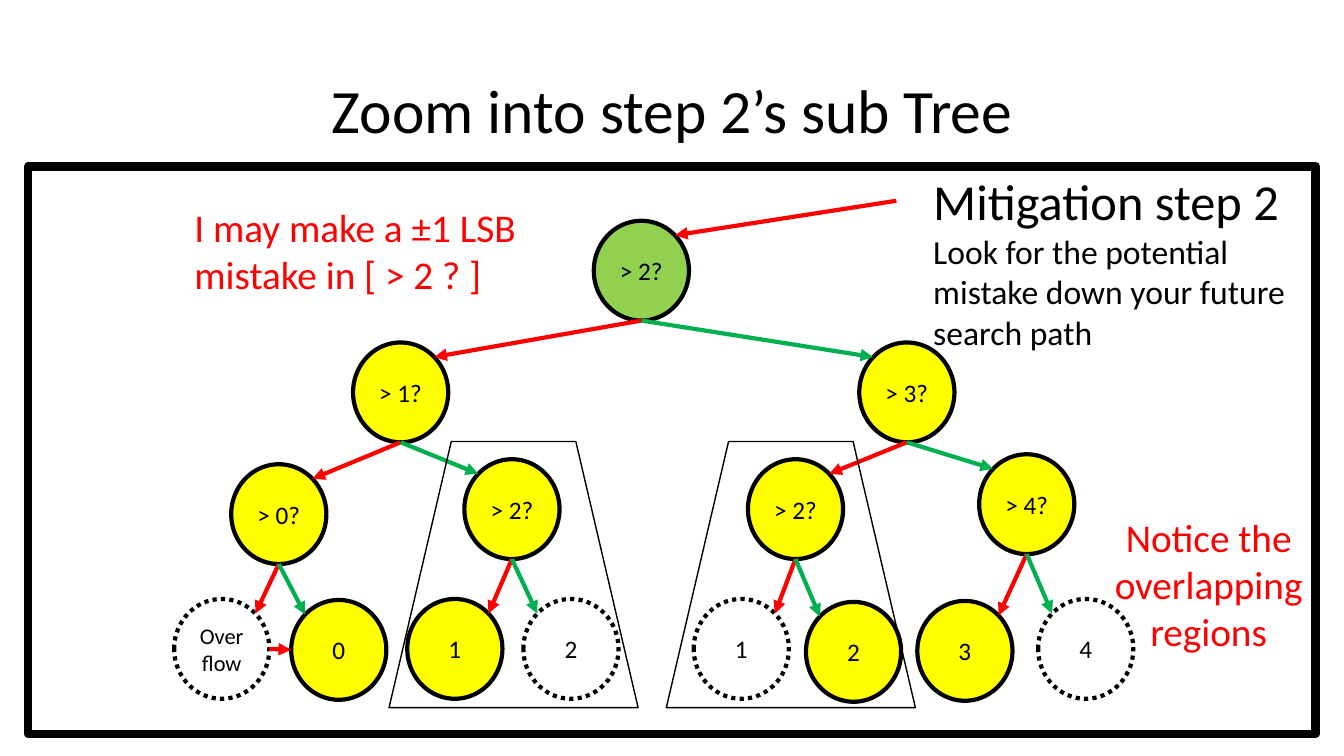
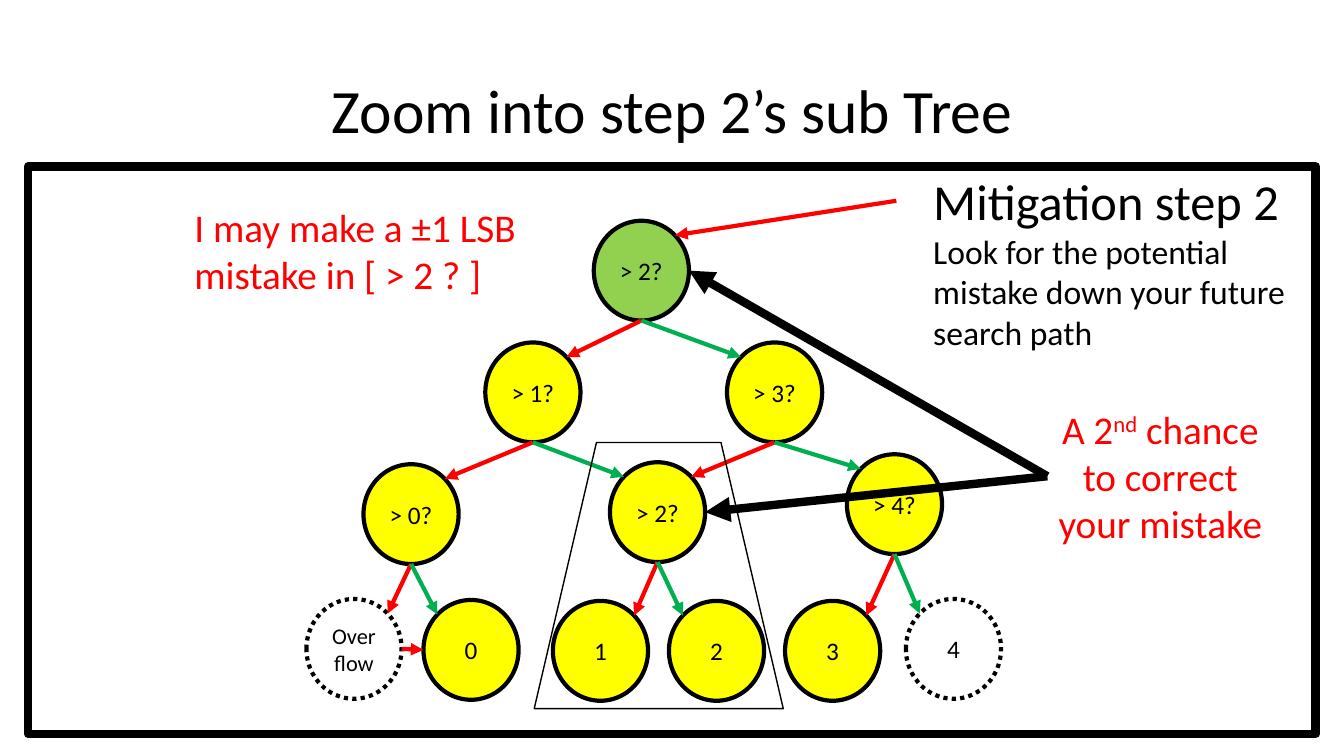
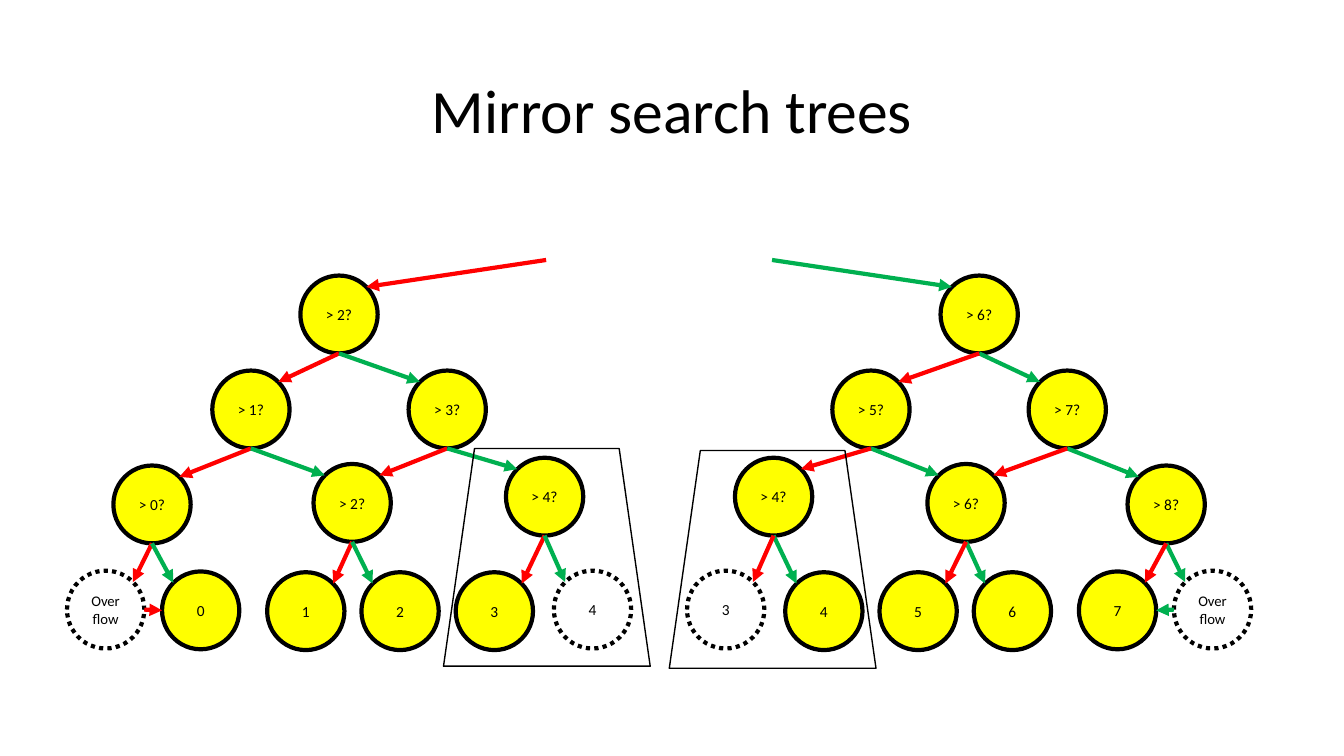
from lxml import etree
from pptx import Presentation
from pptx import util as u
from pptx.dml.color import RGBColor
from pptx.enum import dml, shapes, text
from pptx.oxml import ns

FONT = "Calibri"
COLORS = {"ink": "000000", "no": "FF0000", "yes": "00B050",
          "node": "FFFF00", "start": "92D050"}
WIDTH, HEIGHT = u.Inches(13.33), u.Inches(7.5)
CENTER, LEFT = text.PP_ALIGN.CENTER, text.PP_ALIGN.LEFT
CORNER = 0.354  # share of a circle's diameter from centre to its diagonal point

# Offsets from the root, in node widths and heights; then kind and number.
TREE = {
    "root": (0, 0, "ask", 2),
    "low": (-1.14, 1.22, "ask", 1),
    "high": (1.4, 1.22, "ask", 3),
    "ask0": (-2.42, 2.44, "ask", 0),
    "ask2": (0.17, 2.42, "ask", 2),
    "ask4": (2.66, 2.34, "ask", 4),
    "over": (-3.02, 3.79, "over", 0),
    "leaf0": (-1.79, 3.8, "leaf", 0),
    "leaf1": (-0.43, 3.81, "leaf", 1),
    "leaf2": (0.79, 3.81, "leaf", 2),
    "leaf3": (2.01, 3.81, "leaf", 3),
    "leaf4": (3.28, 3.79, "ghost", 4),
}
CHILDREN = {
    "root": ("low", "high"),
    "low": ("ask0", "ask2"),
    "high": ("ask2", "ask4"),
    "ask0": ("over", "leaf0"),
    "ask2": ("leaf1", "leaf2"),
    "ask4": ("leaf3", "leaf4"),
}


def split_tree(gap):
    """The tree with its halves moved apart and the shared branch doubled."""
    nodes = {}
    for name, (x, y, kind, number) in TREE.items():
        if name != "root":
            right = name in ("high", "ask4", "leaf2", "leaf3", "leaf4")
            x += gap if right else -gap
        nodes[name] = (x, y, kind, number)
    nodes.update({
        "ask2": (-1.36, 2.39, "ask", 2),
        "leaf1": (-1.96, 3.79, "leaf", 1),
        "ghost2": (-0.74, 3.79, "ghost", 2),
        "twin2": (1.62, 2.39, "ask", 2),
        "ghost1": (1.05, 3.79, "ghost", 1),
        "leaf2": (2.23, 3.82, "leaf", 2),
    })
    children = {**CHILDREN, "high": ("twin2", "ask4"),
                "ask2": ("leaf1", "ghost2"), "twin2": ("ghost1", "leaf2")}
    return nodes, children


def across(share):
    return round(WIDTH * share / 100)


def down(share):
    return round(HEIGHT * share / 100)


def place(box):
    """Turn a box given in percent of the slide into lengths."""
    x, y, w, h = box
    return across(x), down(y), across(w), down(h)


def rgb(name):
    return RGBColor.from_string(COLORS[name])


def write(frame, paragraphs, color="ink", align=LEFT):
    """Each paragraph is a list of (text, size, is_superscript) runs."""
    for index, runs in enumerate(paragraphs):
        para = frame.paragraphs[0] if index == 0 else frame.add_paragraph()
        para.alignment = align
        for words, size, raised in runs:
            run = para.add_run()
            run.text = words
            run.font.name, run.font.size = FONT, u.Pt(size)
            run.font.color.rgb = rgb(color)
            if raised:
                run.font._element.set("baseline", "30000")


def text_block(slide, box, paragraphs, color="ink", align=LEFT):
    frame = slide.shapes.add_textbox(*place(box)).text_frame
    frame.word_wrap = True
    write(frame, paragraphs, color, align)
    return frame


def outline(slide, preset, bounds, weight, fill=None):
    shape = slide.shapes.add_shape(preset, *bounds)
    shape.shadow.inherit = False
    if fill:
        shape.fill.solid()
        shape.fill.fore_color.rgb = rgb(fill)
    else:
        shape.fill.background()
    shape.line.color.rgb = rgb("ink")
    shape.line.width = u.Pt(weight)
    return shape


def arrow(slide, start, end, color, weight=3):
    line = slide.shapes.add_connector(shapes.MSO_CONNECTOR.STRAIGHT,
                                      *map(round, (*start, *end)))
    line.line.color.rgb = rgb(color)
    line.line.width = u.Pt(weight)
    etree.SubElement(line.line._get_or_add_ln(), ns.qn("a:tailEnd"), type="triangle")
    etree.SubElement(line._element.spPr, ns.qn("a:effectLst"))


def point(bounds, dx, dy):
    """A point of a box, in shares of its size from the centre."""
    x, y, w, h = bounds
    return x + w * (0.5 + dx), y + h * (0.5 + dy)


def node(slide, bounds, kind, number, size, over_size, fill):
    dotted = kind in ("over", "ghost")
    circle = outline(slide, shapes.MSO_SHAPE.OVAL, bounds, 3, None if dotted else fill)
    if dotted:
        circle.line.dash_style = dml.MSO_LINE.ROUND_DOT
    frame = circle.text_frame
    frame.word_wrap = False
    frame.margin_left = frame.margin_right = 0
    frame.vertical_anchor = text.MSO_ANCHOR.MIDDLE
    if kind == "over":
        label = [[("Over", over_size, False)], [("flow", over_size, False)]]
    else:
        label = [[(f"> {number}?" if kind == "ask" else str(number), size, False)]]
    write(frame, label, align=CENTER)


def search_tree(slide, root_box, nodes=TREE, children=CHILDREN, size=18,
                over_size=16, root_fill="node", mirrored=False):
    """Draw a tree from its root's box; return the box of every node."""
    left, top, w, h = place(root_box)
    side = -1 if mirrored else 1
    boxes = {}
    for name, (x, y, kind, number) in nodes.items():
        boxes[name] = (round(left + side * x * w), round(top + y * h), w, h)
        if mirrored:
            number = (8 if kind == "ask" else 7) - number
        node(slide, boxes[name], kind, number, size, over_size,
             root_fill if name == "root" else "node")

    near, far = ("yes", "no") if mirrored else ("no", "yes")
    for parent, pair in children.items():
        for child, color, turn in zip(pair, (near, far), (side, -side)):
            arrow(slide, point(boxes[parent], 0, 0.5),
                  point(boxes[child], turn * CORNER, -CORNER), color)
    arrow(slide, point(boxes["over"], side * 0.5, 0),
          point(boxes["leaf0"], -side * 0.5, 0), near)
    arrow(slide, point(boxes["root"], side * 2.68, -0.7),
          point(boxes["root"], side * CORNER, -CORNER), near)
    return boxes


def region(slide, box, slant=0.25):
    trapezoid = outline(slide, shapes.MSO_SHAPE.TRAPEZOID, place(box), 1)
    trapezoid.adjustments[0] = slant


def titled_slide(deck, title):
    slide = deck.slides.add_slide(deck.slide_layouts[6])
    frame = text_block(slide, (6.9, 5.33, 86.25, 19.33), [[(title, 44, False)]],
                       align=CENTER)
    frame.vertical_anchor = text.MSO_ANCHOR.MIDDLE
    frame.paragraphs[0].line_spacing = 0.9
    return slide


def zoom_slide(deck, remark, remark_box, regions, nodes=TREE, children=CHILDREN):
    slide = titled_slide(deck, "Zoom into step 2’s sub Tree")
    boxes = search_tree(slide, (44.18, 29.2, 7.08, 13.2), nodes, children,
                        root_fill="start")
    outline(slide, shapes.MSO_SHAPE.RECTANGLE, place((2.1, 22, 95.8, 75.07)), 6)
    text_block(slide, (68.7, 21.87, 29.4, 25.6), [
        [("Mitigation step 2", 36, False)],
        [("Look for the potential mistake down your future search path", 24, False)]])
    text_block(slide, (13.73, 26.27, 34, 13.87),
               [[("I may make a ±1 LSB mistake in [ > 2 ? ]", 28, False)]], "no")
    text_block(slide, remark_box, [remark], "no", CENTER)
    for box in regions:
        region(slide, box)
    return slide, boxes


def overlap_slide(deck):
    zoom_slide(deck, [("Notice the overlapping regions", 28, False)],
               (81.53, 67.2, 16.8, 20.13),
               [(x, 58.4, 18.53, 35.2) for x in (28.95, 49.58)],
               *split_tree(1.39))


def second_chance_slide(deck):
    chance_box = (77.93, 52.93, 16.8, 20.13)
    slide, boxes = zoom_slide(
        deck,
        [("A 2", 28, False), ("nd", 28, True), (" chance to correct your mistake", 28, False)],
        chance_box, [(39.75, 58.53, 18.53, 35.2)])
    for name in ("ask2", "root"):
        arrow(slide, point(place(chance_box), -0.5, 0),
              point(boxes[name], 0.5, 0), "ink", 6)


def mirror_slide(deck):
    slide = titled_slide(deck, "Mirror search trees")
    for x, mirrored in ((69.98, True), (22.35, False)):
        search_tree(slide, (x, 36.45, 5.75, 10.3), size=11, over_size=10.5,
                    mirrored=mirrored)
    for x, y in ((33, 59.33), (49.8, 59.6)):
        region(slide, (x, y, 15.38, 28.8), 0.15)


def main():
    deck = Presentation()
    deck.slide_width, deck.slide_height = WIDTH, HEIGHT
    overlap_slide(deck)
    second_chance_slide(deck)
    mirror_slide(deck)
    deck.save("out.pptx")


if __name__ == "__main__":
    main()
